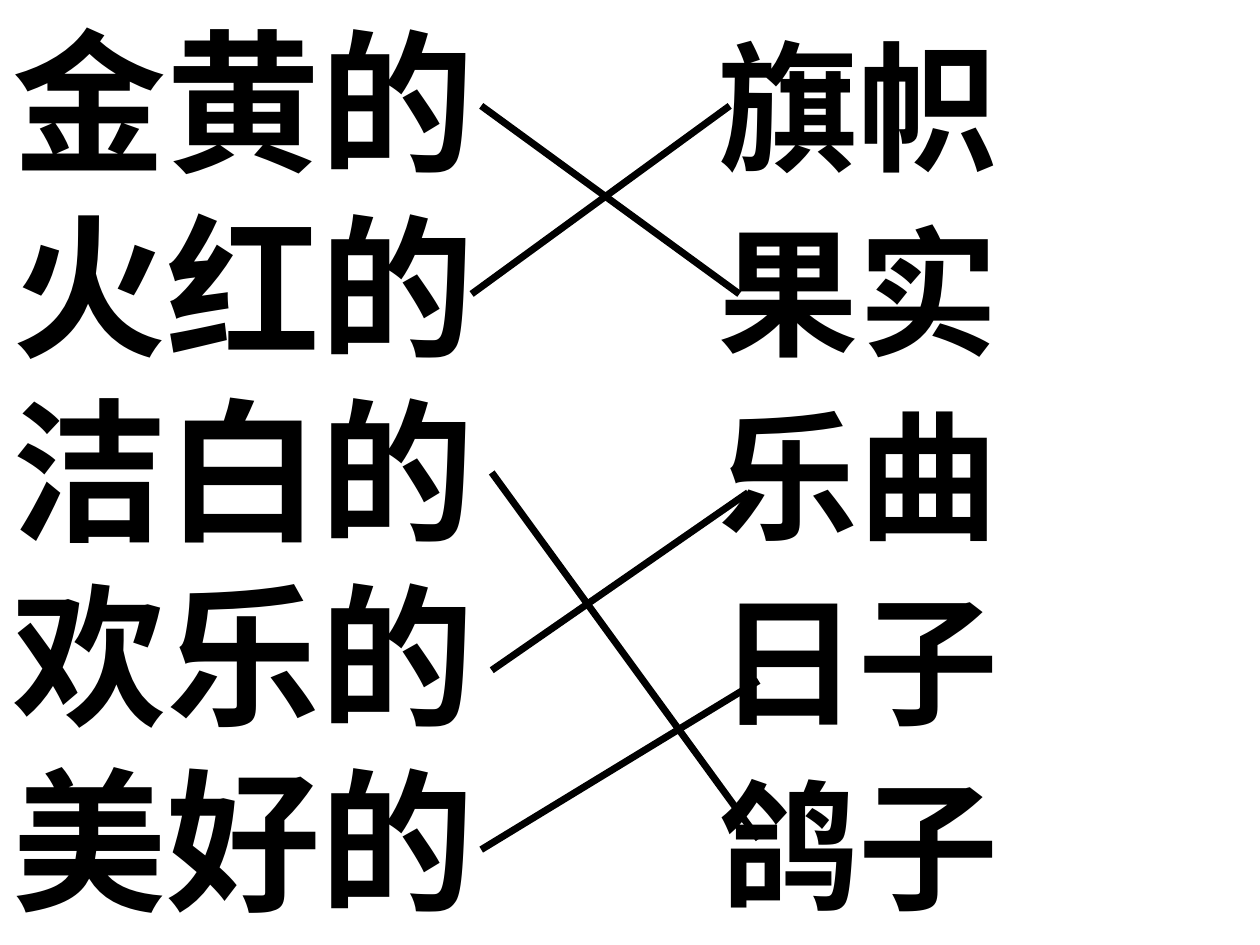
from typing import NamedTuple

from lxml import etree
from pptx import Presentation
from pptx.dml.color import RGBColor
from pptx.enum import shapes, text
from pptx.oxml.ns import qn
from pptx.util import Pt

COLORS = {"ink": "000000"}
FONT = "Times New Roman"
ADJECTIVE_SIZE, NOUN_SIZE = 88, 80
GAP_TRACKING = 119.5


class Phrase(NamedTuple):
    adjective: str
    noun: str


class Match(NamedTuple):
    """Ends of one matching line, in points."""
    x1: float
    y1: float
    x2: float
    y2: float


PHRASES = [
    Phrase("金黄的", "旗帜"),
    Phrase("火红的", "果实"),
    Phrase("洁白的", "乐曲"),
    Phrase("欢乐的", "日子"),
    Phrase("美好的", "鸽子"),
]
MATCHES = [
    Match(275, 60.5, 422.5, 168),
    Match(269.5, 168, 417, 60.5),
    Match(281, 270, 433.5, 479.5),
    Match(281, 383, 427.5, 281.5),
    Match(275, 485.5, 433.5, 389),
]


def add_run(p, words: str, size: float, tracking: float = 0) -> None:
    """Add a bold run; tracking is extra space after each letter, in points."""
    r = p.add_run()
    r.text = words
    r.font.size = Pt(size)
    r.font.name = FONT
    r.font.bold = True
    r.font.color.rgb = RGBColor.from_string(COLORS["ink"])
    if tracking:
        r._r.get_or_add_rPr().set("spc", str(round(tracking * 100)))


def format_row(p) -> None:
    """Plain line without bullet or indent."""
    p.space_before = Pt(0)
    pPr = p._p.get_or_add_pPr()
    pPr.set("marL", "0")
    pPr.set("indent", "0")
    etree.SubElement(pPr, qn("a:buNone"))


def fill_phrases(sp, phrases: list[Phrase]) -> None:
    sp.left, sp.top, sp.width, sp.height = Pt(0), Pt(0), Pt(720), Pt(1015)
    tf = sp.text_frame
    tf.word_wrap = True
    tf.auto_size = text.MSO_AUTO_SIZE.NONE
    for i, phrase in enumerate(phrases):
        p = tf.paragraphs[0] if i == 0 else tf.add_paragraph()
        format_row(p)
        add_run(p, phrase.adjective, ADJECTIVE_SIZE)
        add_run(p, " ", ADJECTIVE_SIZE, GAP_TRACKING)
        add_run(p, phrase.noun, NOUN_SIZE)


def add_match(s, match: Match) -> None:
    line = s.shapes.add_connector(
        shapes.MSO_CONNECTOR.STRAIGHT, *(Pt(v) for v in match))
    line.line.width = Pt(4)
    line.line.color.rgb = RGBColor.from_string(COLORS["ink"])
    etree.SubElement(line._element.spPr, qn("a:effectLst"))


def main() -> None:
    prs = Presentation()
    prs.slide_width, prs.slide_height = Pt(720), Pt(540)
    s = prs.slides.add_slide(prs.slide_layouts[1])
    title = s.shapes.title._element
    title.getparent().remove(title)
    fill_phrases(s.placeholders[1], PHRASES)
    for match in MATCHES:
        add_match(s, match)
    prs.save("out.pptx")


if __name__ == "__main__":
    main()
